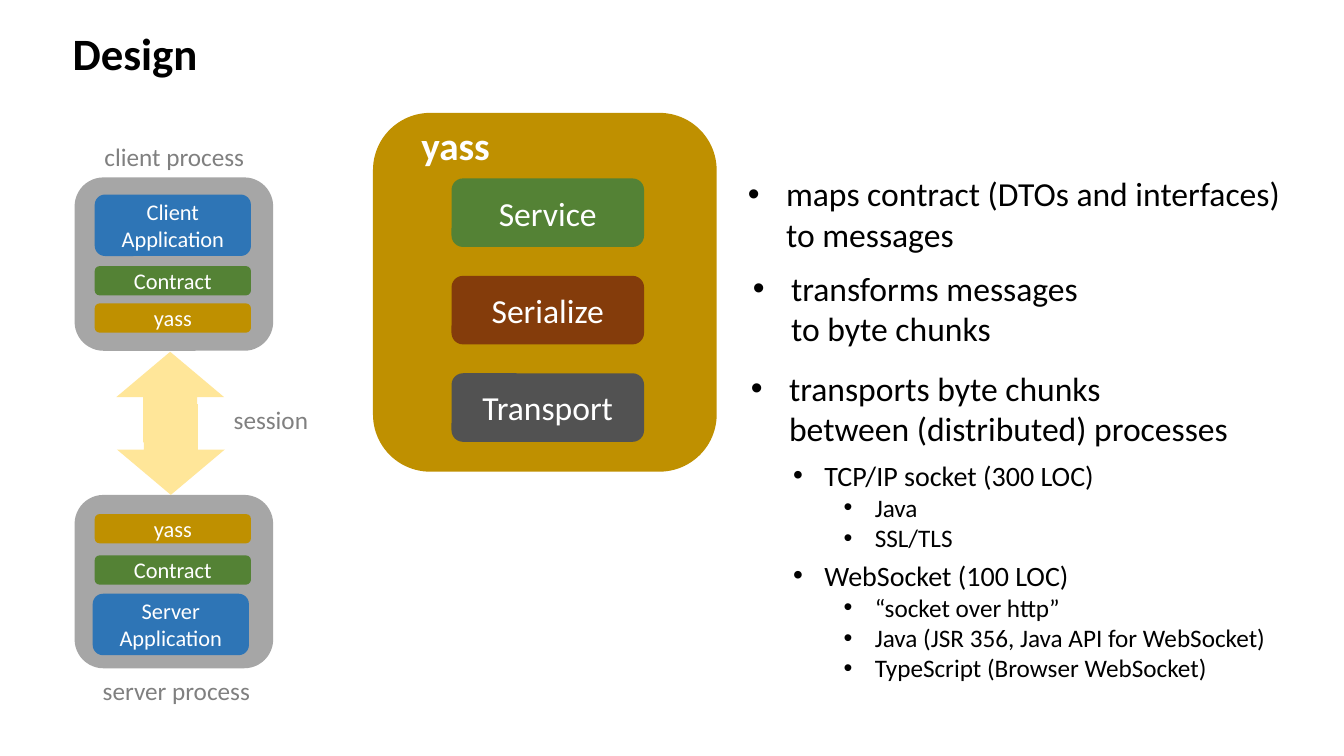
from lxml import etree
from pptx import Presentation
from pptx import util as u
from pptx.dml.color import RGBColor
from pptx.enum import shapes, text
from pptx.oxml import ns

BLACK = RGBColor(0x00, 0x00, 0x00)
WHITE = RGBColor(0xFF, 0xFF, 0xFF)
GREY = RGBColor(0x80, 0x80, 0x80)
SILVER = RGBColor(0xA6, 0xA6, 0xA6)
CHARCOAL = RGBColor(0x52, 0x52, 0x52)
BLUE = RGBColor(0x2E, 0x75, 0xB6)
GREEN = RGBColor(0x54, 0x82, 0x35)
GOLD = RGBColor(0xBF, 0x90, 0x00)
CREAM = RGBColor(0xFF, 0xE6, 0x99)
BROWN = RGBColor(0x84, 0x3C, 0x0B)

ROUNDED = shapes.MSO_SHAPE.ROUNDED_RECTANGLE
RECTANGLE = shapes.MSO_SHAPE.RECTANGLE
LEFT, CENTER = text.PP_ALIGN.LEFT, text.PP_ALIGN.CENTER
TOP, MIDDLE = text.MSO_ANCHOR.TOP, text.MSO_ANCHOR.MIDDLE


class Sketch:
    """Draws on one page; lengths are columns and rows of a 40 by 22.5 grid."""

    font_name = "Calibri"
    columns, rows = 40, 22.5

    def __init__(self, deck):
        self.deck = deck
        self.page = deck.slides.add_slide(deck.slide_layouts[5])

    def area(self, col, row, width, height):
        across = self.deck.slide_width / self.columns
        down = self.deck.slide_height / self.rows
        return [u.Emu(round(length)) for length in
                (col * across, row * down, width * across, height * down)]

    def style(self, para, size, color, bold=False, align=LEFT):
        para.alignment = align
        font = para.font
        font.name, font.size, font.bold = self.font_name, u.Pt(size), bold
        font.color.rgb = color

    def title(self, words, *place):
        box = self.page.shapes.title
        box.left, box.top, box.width, box.height = self.area(*place)
        frame = box.text_frame
        frame.text = words
        frame.vertical_anchor = MIDDLE
        frame.paragraphs[0].line_spacing = 0.9
        self.style(frame.paragraphs[0], 32, BLACK, bold=True)

    def shape(self, kind, fill, *place, words="", size=16, color=WHITE,
              bold=False, align=CENTER, anchor=MIDDLE):
        box = self.page.shapes.add_shape(kind, *self.area(*place))
        box.shadow.inherit = False
        box.fill.solid()
        box.fill.fore_color.rgb = fill
        box.line.fill.background()
        if words:
            frame = box.text_frame
            frame.text = words
            frame.vertical_anchor = anchor
            for para in frame.paragraphs:
                self.style(para, size, color, bold, align)

    def label(self, words, *place, align=CENTER):
        self.shape(RECTANGLE, WHITE, *place, words=words, size=18,
                   color=GREY, align=align, anchor=TOP)

    def bullets(self, items, *place):
        """Each item is (words, size, left margin, hanging indent)."""
        frame = self.page.shapes.add_textbox(*self.area(*place)).text_frame
        frame.word_wrap = True
        for index, (words, size, margin, hanging) in enumerate(items):
            para = frame.add_paragraph() if index else frame.paragraphs[0]
            para.text = words
            props = para._p.get_or_add_pPr()
            props.set("marL", str(u.Inches(margin)))
            props.set("indent", str(-u.Inches(hanging)))
            etree.SubElement(props, ns.qn("a:buFont"), typeface="Arial")
            etree.SubElement(props, ns.qn("a:buChar"), char="•")
            self.style(para, size, BLACK)


def draw_process(sketch, row, parts):
    sketch.shape(ROUNDED, SILVER, 2.22, row, 5.91, 5.16)
    for words, fill, col, offset, height in parts:
        sketch.shape(ROUNDED, fill, col, row + offset, 4.65, height, words=words)


def main():
    deck = Presentation()
    deck.slide_width, deck.slide_height = u.Inches(13.33), u.Inches(7.5)
    sketch = Sketch(deck)
    sketch.title("Design", 1.86, 0.54, 34.5, 2.25)

    # Client and server processes
    sketch.label("client process", 2.4, 4.05, 5.58, 1.2)
    draw_process(sketch, 5.28, [
        ("Client\nApplication", BLUE, 2.82, 0.51, 1.83),
        ("Contract", GREEN, 2.82, 2.64, 0.87),
        ("yass", GOLD, 2.82, 3.75, 0.87),
    ])
    sketch.label("server process", 2.43, 19.95, 5.64, 1.2)
    draw_process(sketch, 14.73, [
        ("Server\nApplication", BLUE, 2.76, 2.94, 1.83),
        ("Contract", GREEN, 2.82, 1.8, 0.87),
        ("yass", GOLD, 2.82, 0.57, 0.87),
    ])

    # Session between the processes
    sketch.shape(shapes.MSO_SHAPE.DOWN_ARROW, CREAM, 3.48, 12.03, 3.21, 2.7)
    sketch.shape(shapes.MSO_SHAPE.UP_ARROW, CREAM, 3.46, 10.47, 3.21, 2.7)
    sketch.label("session", 6.66, 11.88, 2.85, 1.2, align=LEFT)

    # Layers inside yass
    sketch.shape(ROUNDED, GOLD, 11.1, 3.36, 10.23, 10.68)
    sketch.shape(ROUNDED, GOLD, 12.12, 3.63, 2.88, 1.35,
                 words="yass", size=28, bold=True)
    layers = [("Service", GREEN), ("Serialize", BROWN), ("Transport", CHARCOAL)]
    for index, (words, fill) in enumerate(layers):
        sketch.shape(ROUNDED, fill, 13.44, 5.31 + 2.9 * index, 5.73, 2.04,
                     words=words, size=24)

    # What each layer does
    duties = [
        ("maps contract (DTOs and interfaces)\vto messages", 21.96, 5.01, 17.64),
        ("transforms messages\vto byte chunks", 22.11, 7.83, 15.66),
        ("transports byte chunks\vbetween (distributed) processes", 22.05, 10.8, 17.55),
    ]
    for words, col, row, width in duties:
        sketch.bullets([(words, 24, 0.38, 0.38)], col, row, width, 2.73)

    # Available transports
    transports = [
        ("TCP/IP socket (300 LOC)", ["Java", "SSL/TLS"], 13.5, 12.39, 3.12),
        ("WebSocket (100 LOC)",
         ["“socket over http”", "Java (JSR 356, Java API for WebSocket)",
          "TypeScript (Browser WebSocket)"], 16.47, 16.32, 4.05),
    ]
    for heading, details, row, width, height in transports:
        items = [(heading, 20, 0.31, 0.31)]
        items += [(detail, 18, 0.81, 0.31) for detail in details]
        sketch.bullets(items, 23.31, row, width, height)

    deck.save("out.pptx")


if __name__ == "__main__":
    main()
